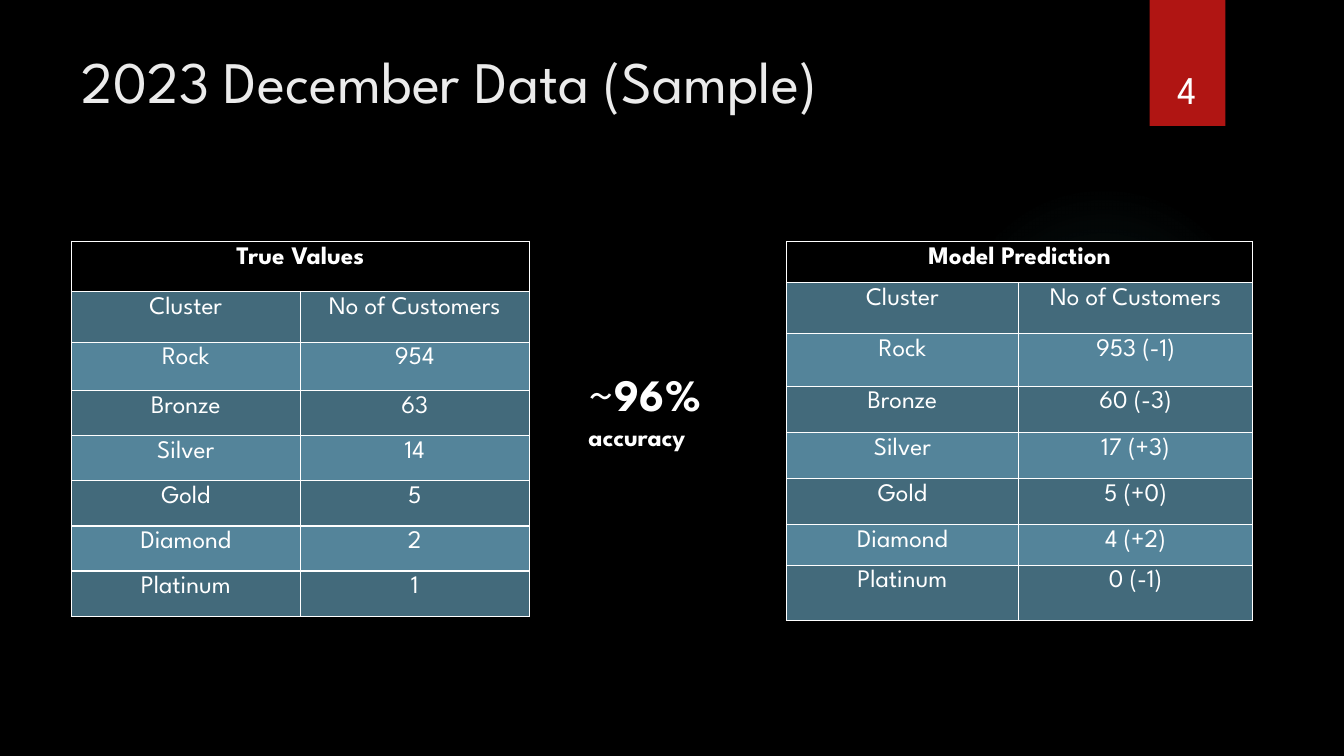
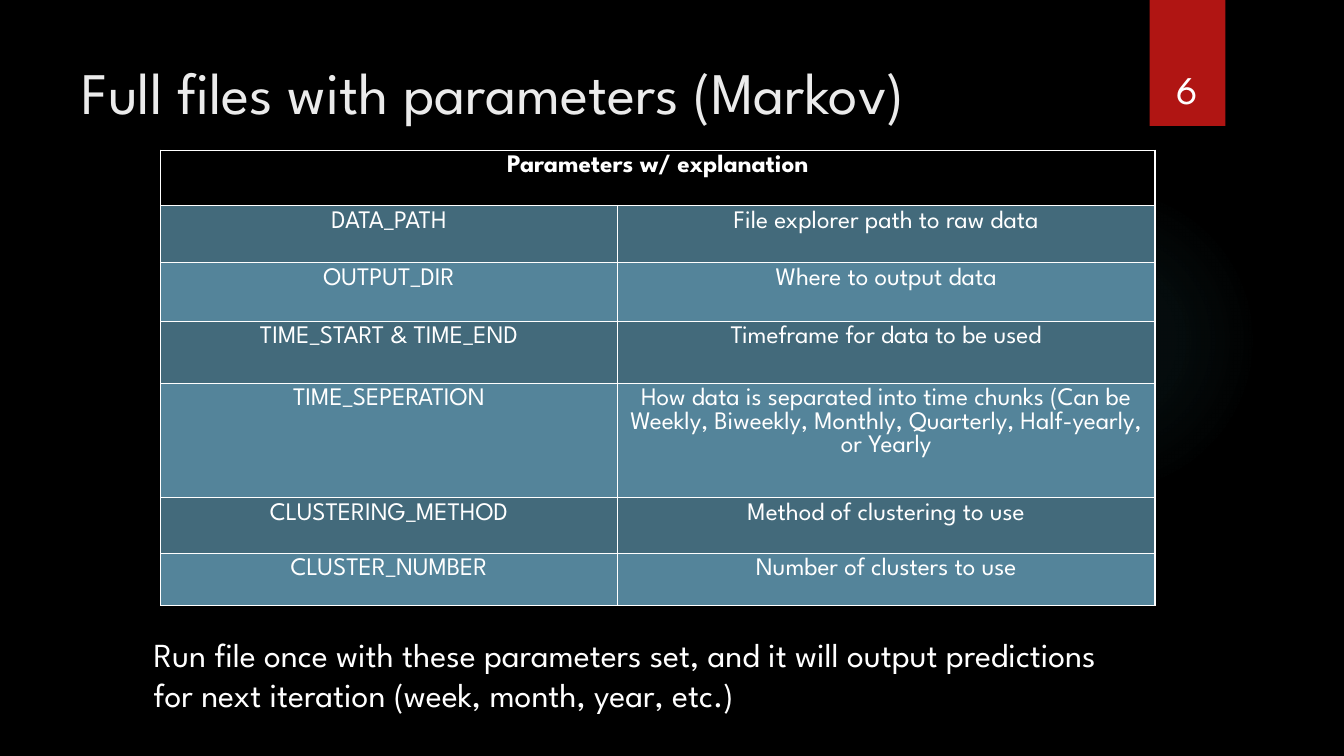
from lxml.etree import SubElement
from pptx import Presentation
from pptx.dml.color import RGBColor
from pptx.enum.shapes import MSO_SHAPE as Shape
from pptx.enum.text import MSO_ANCHOR as Anchor, MSO_AUTO_SIZE as AutoSize, PP_ALIGN as Align
from pptx.oxml import parse_xml
from pptx.oxml.ns import nsdecls, qn
from pptx.util import Pt

PX = 9525
FONT = "League Spartan"
COLORS = {
    "black": "000000",
    "white": "FFFFFF",
    "title": "EBEBEB",
    "red": "B01513",
    "glow": "50B9C1",
    "dark": "436A7B",
    "light": "54849A",
}
GLOW_STOPS = [(0, 7), (36, 6), (69, 0)]


def rgb(name):
    return RGBColor.from_string(COLORS[name])


def px(*lengths):
    return [length * PX for length in lengths]


class Deck:
    def __init__(self):
        self.prs = Presentation()
        self.prs.slide_width, self.prs.slide_height = px(1280, 720)
        backdrop = self.prs.slide_master.background.fill
        backdrop.solid()
        backdrop.fore_color.rgb = rgb("black")
        self.slide = None

    def add_slide(self, title, number, title_top):
        self.slide = self.prs.slides.add_slide(self.prs.slide_layouts[5])
        self.glow(903, 176, 296)
        self.band(1095, 0, 72, 120)
        self.title(title, 68, title_top, 988, 147)
        self.text([[(str(number), False)]], [28], 1087, 31, 88, 81, Align.CENTER, Anchor.BOTTOM)

    def style(self, paragraph, size, color="white", align=Align.LEFT):
        paragraph.alignment = align
        font = paragraph.font
        font.name, font.size = FONT, Pt(size)
        font.color.rgb = rgb(color)
        return font

    def plain_shape(self, kind, *box):
        shape = self.slide.shapes.add_shape(kind, *px(*box))
        shape.shadow.inherit = False
        shape.line.fill.background()
        return shape

    def band(self, *box):
        fill = self.plain_shape(Shape.RECTANGLE, *box).fill
        fill.solid()
        fill.fore_color.rgb = rgb("red")

    def glow(self, left, top, size):
        properties = self.plain_shape(Shape.OVAL, left, top, size, size)._element.spPr
        stops = "".join(
            f'<a:gs pos="{position * 1000}"><a:srgbClr val="{COLORS["glow"]}">'
            f'<a:alpha val="{alpha * 1000}"/></a:srgbClr></a:gs>'
            for position, alpha in GLOW_STOPS
        )
        gradient = parse_xml(
            f'<a:gradFill {nsdecls("a")}><a:gsLst>{stops}</a:gsLst><a:path path="circle">'
            '<a:fillToRect l="50000" t="50000" r="50000" b="50000"/></a:path></a:gradFill>'
        )
        properties.find(qn("a:prstGeom")).addnext(gradient)

    def title(self, words, *box):
        title = self.slide.shapes.title
        title.left, title.top, title.width, title.height = px(*box)
        frame = title.text_frame
        frame.text = words
        frame.word_wrap, frame.auto_size = True, AutoSize.NONE
        frame.vertical_anchor = Anchor.TOP
        self.style(frame.paragraphs[0], 42, "title")

    def text(self, paragraphs, sizes, left, top, width, height, align=Align.LEFT, anchor=Anchor.TOP):
        frame = self.slide.shapes.add_textbox(*px(left, top, width, height)).text_frame
        frame.word_wrap, frame.vertical_anchor = True, anchor
        for index, (runs, size) in enumerate(zip(paragraphs, sizes)):
            paragraph = frame.add_paragraph() if index else frame.paragraphs[0]
            self.style(paragraph, size, align=align)
            for words, bold in runs:
                run = paragraph.add_run()
                run.text, run.font.bold = words, bold

    def table(self, heading, rows, left, top, widths, heights):
        table = self.slide.shapes.add_table(
            len(heights), len(widths), *px(left, top, sum(widths), sum(heights))
        ).table
        for column, width in zip(table.columns, widths):
            column.width = width * PX
        for row, height in zip(table.rows, heights):
            row.height = height * PX
        table.cell(0, 0).merge(table.cell(0, len(widths) - 1))
        for r, entries in enumerate([(heading, ""), *rows]):
            fill = ("dark" if r % 2 else "light") if r else "black"
            for c, words in enumerate(entries):
                self.cell(table.cell(r, c), words, fill, r == 0)

    def cell(self, cell, words, fill, bold):
        cell.text = words
        self.style(cell.text_frame.paragraphs[0], 18, align=Align.CENTER).bold = bold
        properties = cell._tc.get_or_add_tcPr()
        for side in ("lnL", "lnR", "lnT", "lnB"):
            border = SubElement(properties, qn(f"a:{side}"), w=str(Pt(1)))
            solid = SubElement(border, qn("a:solidFill"))
            SubElement(solid, qn("a:srgbClr"), val=COLORS["white"])
        cell.fill.solid()
        cell.fill.fore_color.rgb = rgb(fill)


def main():
    deck = Deck()
    clusters = ["Cluster", "Rock", "Bronze", "Silver", "Gold", "Diamond", "Platinum"]
    true_values = ["No of Customers", "954", "63", "14", "5", "2", "1"]
    predictions = [
        "No of Customers", "953 (-1)", "60 (-3)", "17 (+3)", "5 (+0)", "4 (+2)", "0 (-1)",
    ]
    parameters = [
        ("DATA_PATH", "File explorer path to raw data"),
        ("OUTPUT_DIR", "Where to output data"),
        ("TIME_START & TIME_END", "Timeframe for data to be used"),
        ("TIME_SEPERATION", "How data is separated into time chunks (Can be Weekly, Biweekly, "
                            "Monthly, Quarterly, Half-yearly, or Yearly"),
        ("CLUSTERING_METHOD", "Method of clustering to use"),
        ("CLUSTER_NUMBER", "Number of clusters to use"),
    ]
    usage = ("Run file once with these parameters set, and it will output predictions "
             "for next iteration (week, month, year, etc.)")

    deck.add_slide("2023 December Data (Sample)", 4, 38)
    deck.table("True Values", zip(clusters, true_values), 68, 230,
               [218, 218], [48, 48, 46] + [43] * 5)
    deck.table("Model Prediction", zip(clusters, predictions), 749, 230,
               [221, 223], [39, 49, 50, 44, 44, 44, 38, 53])
    deck.text([[("~", False), ("96%", True)], [("accuracy", True)]], [32, 18], 551, 345, 137, 130)

    deck.add_slide("Full files with parameters (Markov)", 6, 48)
    deck.table("Parameters w/ explanation", parameters, 153, 143,
               [435, 512], [53, 54, 56, 59, 109, 53, 50])
    deck.text([[(usage, False)]], [24], 137, 599, 961, 100)

    deck.prs.save("out.pptx")


if __name__ == "__main__":
    main()
